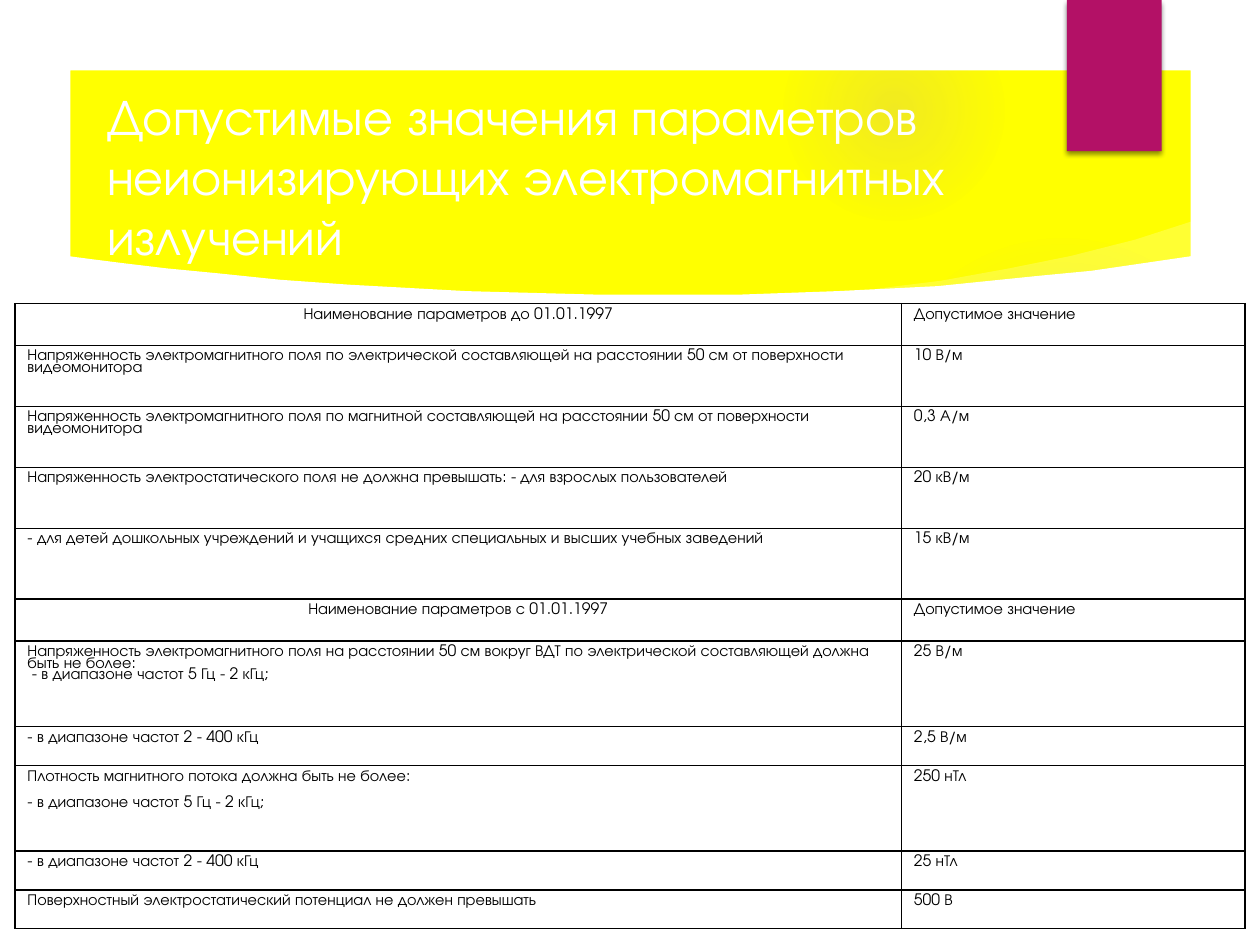
from dataclasses import dataclass

from lxml import etree
from pptx import Presentation
from pptx.dml.color import RGBColor
from pptx.enum.shapes import MSO_SHAPE
from pptx.enum.text import MSO_ANCHOR, PP_ALIGN
from pptx.oxml import parse_xml
from pptx.oxml.ns import nsdecls, qn
from pptx.util import Cm, Pt

RECTANGLE, OVAL = MSO_SHAPE.RECTANGLE, MSO_SHAPE.OVAL
MIDDLE = MSO_ANCHOR.MIDDLE
LEFT, CENTER = PP_ALIGN.LEFT, PP_ALIGN.CENTER


@dataclass(frozen=True)
class Theme:
    font: str = "TeX Gyre Adventor"
    yellow: str = "FFFF00"
    white: str = "FFFFFF"
    black: str = "000000"
    accent: str = "B31166"
    glow: str = "9B6BF2"
    title_size: float = 28.8
    table_size: float = 9
    table_spacing: float = 0.8
    border: float = 1


class SlideBuilder:
    def __init__(self, slide, theme):
        self.slide = slide
        self.theme = theme

    def background(self, color):
        fill = self.slide.background.fill
        fill.solid()
        fill.fore_color.rgb = RGBColor.from_string(color)

    def _paint(self, shape, color):
        shape.shadow.inherit = False
        shape.line.fill.background()
        shape.fill.solid()
        shape.fill.fore_color.rgb = RGBColor.from_string(color)

    def _write(self, paragraph, text, size, color, align=LEFT):
        paragraph.alignment = align
        run = paragraph.add_run()
        run.text = text
        run.font.name = self.theme.font
        run.font.size = Pt(size)
        run.font.color.rgb = RGBColor.from_string(color)

    def glow(self, left, top, size, stops):
        """Round glow; stops are (position %, opacity %) from the centre out."""
        glow = self.slide.shapes.add_shape(OVAL, Cm(left), Cm(top), Cm(size), Cm(size))
        self._paint(glow, self.theme.glow)
        marks = "".join(
            f'<a:gs pos="{position * 1000}"><a:srgbClr val="{self.theme.glow}">'
            f'<a:alpha val="{opacity * 1000}"/></a:srgbClr></a:gs>'
            for position, opacity in stops)
        gradient = parse_xml(
            f'<a:gradFill {nsdecls("a")}><a:gsLst>{marks}</a:gsLst><a:path path="circle">'
            '<a:fillToRect l="50000" t="50000" r="50000" b="50000"/></a:path></a:gradFill>')
        properties = glow._element.spPr
        properties.replace(properties.find(qn("a:solidFill")), gradient)

    def outline(self, contours, color, opacity=100):
        contours = [[(Cm(x), Cm(y)) for x, y in contour] for contour in contours]
        builder = self.slide.shapes.build_freeform(*contours[0][0], scale=1.0)
        for index, contour in enumerate(contours):
            if index:
                builder.move_to(*contour[0])
            builder.add_line_segments(contour[1:], close=True)
        shape = builder.convert_to_shape()
        self._paint(shape, color)
        if opacity < 100:
            tint = shape._element.spPr.find(qn("a:solidFill"))[0]
            etree.SubElement(tint, qn("a:alpha"), val=str(opacity * 1000))

    def ribbon(self, left, top, width, height):
        ribbon = self.slide.shapes.add_shape(
            RECTANGLE, Cm(left), Cm(top), Cm(width), Cm(height))
        self._paint(ribbon, self.theme.accent)
        effects = ribbon._element.spPr.find(qn("a:effectLst"))
        shadow = etree.SubElement(
            effects, qn("a:outerShdw"), blurRad=str(Pt(3)), dist=str(Pt(2)),
            dir="5400000", rotWithShape="0")
        tint = etree.SubElement(shadow, qn("a:srgbClr"), val=self.theme.black)
        etree.SubElement(tint, qn("a:alpha"), val="45000")

    def title(self, text, left, top, width, height):
        frame = self.slide.shapes.add_textbox(
            Cm(left), Cm(top), Cm(width), Cm(height)).text_frame
        frame.word_wrap = True
        frame.vertical_anchor = MIDDLE
        self._write(frame.paragraphs[0], text, self.theme.title_size, self.theme.white)

    def _border(self, cell):
        properties = cell._tc.get_or_add_tcPr()
        for index, side in enumerate(("lnL", "lnR", "lnT", "lnB")):
            properties.insert(index, parse_xml(
                f'<a:{side} {nsdecls("a")} w="{Pt(self.theme.border)}"><a:solidFill>'
                f'<a:srgbClr val="{self.theme.black}"/></a:solidFill></a:{side}>'))

    def table(self, rows, left, top, widths, heights, gap):
        """Rows are (parameter, limit); a list of lines becomes paragraphs."""
        table = self.slide.shapes.add_table(
            len(rows), len(widths), Cm(left), Cm(top),
            Cm(sum(widths)), Cm(sum(heights))).table
        table.first_row = table.horz_banding = False
        for column, width in zip(table.columns, widths):
            column.width = Cm(width)
        for row, height, contents in zip(table.rows, heights, rows):
            row.height = Cm(height)
            for cell, content in zip(row.cells, contents):
                cell.fill.background()
                self._border(cell)
                lines = content if isinstance(content, list) else [content]
                for index, line in enumerate(lines):
                    frame = cell.text_frame
                    paragraph = frame.add_paragraph() if index else frame.paragraphs[0]
                    paragraph.line_spacing = self.theme.table_spacing
                    if index and not line.startswith(" "):
                        paragraph.space_before = Pt(gap)
                    align = CENTER if line.startswith("Наименование") else LEFT
                    self._write(paragraph, line, self.theme.table_size,
                                self.theme.black, align)


def box(left, top, right, bottom):
    return [(left, top), (left, bottom), (right, bottom), (right, top)]


LIMIT = "Допустимое значение"
LOW_BAND = "- в диапазоне частот 5 Гц - 2 кГц;"
HIGH_BAND = "- в диапазоне частот 2 - 400 кГц"
FIELD = "Напряженность электромагнитного поля"
DISTANCE = "составляющей на расстоянии 50 см от поверхности видеомонитора"

PARAMETERS = [
    ("Наименование параметров до 01.01.1997", LIMIT),
    (f"{FIELD} по электрической {DISTANCE}", "10 В/м"),
    (f"{FIELD} по магнитной {DISTANCE}", "0,3 А/м"),
    ("Напряженность электростатического поля не должна превышать: "
     "- для взрослых пользователей", "20 кВ/м"),
    ("- для детей дошкольных учреждений и учащихся средних специальных "
     "и высших учебных заведений", "15 кВ/м"),
    ("Наименование параметров с 01.01.1997", LIMIT),
    ([f"{FIELD} на расстоянии 50 см вокруг ВДТ по электрической "
      "составляющей должна быть не более:", f" {LOW_BAND}"], "25 В/м"),
    (HIGH_BAND, "2,5 В/м"),
    (["Плотность магнитного потока должна быть не более:", LOW_BAND], "250 нТл"),
    (HIGH_BAND, "25 нТл"),
    ("Поверхностный электростатический потенциал не должен превышать", "500 В"),
]
HEADER, DOUBLE, TALL, GROUP, SINGLE = 0.84, 1.23, 1.43, 1.73, 0.78
ROW_HEIGHTS = [HEADER, DOUBLE, DOUBLE, DOUBLE, TALL, HEADER,
               GROUP, SINGLE, GROUP, SINGLE, SINGLE]

BANNER_SHEEN = [(17.75, 5.94), (24.28, 5.28), (24.16, 4.42), (22.89, 4.83),
                (21.59, 5.16), (20.35, 5.41), (18.97, 5.66), (17.68, 5.82)]
BANNER_CURVE = [(1.35, 5.16), (1.88, 5.23), (2.51, 5.31), (3.35, 5.41), (4.39, 5.51),
                (5.64, 5.64), (7.04, 5.74), (9.42, 5.87), (12.04, 5.94), (14.91, 5.94),
                (16.87, 5.87), (18.9, 5.77), (20.96, 5.56), (22, 5.46), (24.05, 5.16)]


def main():
    theme = Theme()
    deck = Presentation()
    deck.slide_width, deck.slide_height = Cm(25.4), Cm(19.05)
    page = SlideBuilder(deck.slides.add_slide(deck.slide_layouts[6]), theme)

    # Yellow banner with soft glows and a light sheen
    page.background(theme.yellow)
    page.glow(17.5, 4.65, 7.82, [(0, 7), (36, 6), (69, 0)])
    page.glow(15.8, 0, 4.45, [(0, 14), (36, 7), (73, 0)])
    page.outline([BANNER_SHEEN], theme.white, opacity=20)

    # White page below the curve and white frame around it
    page.outline([BANNER_CURVE + [(24.05, 17.75), (1.35, 17.75)]], theme.white)
    page.outline([box(0, 0, 25.4, 19.05), box(1.42, 1.42, 24, 17.65)], theme.white)

    # Ribbon and heading
    page.ribbon(21.51, 0, 1.91, 3.05)
    page.title("Допустимые значения параметров неионизирующих "
               "электромагнитных излучений", 1.91, 1.73, 20.96, 3.61)

    # Limits table
    page.table(PARAMETERS, 0.3, 6.12, [17.87, 6.93], ROW_HEIGHTS, gap=8.5)

    deck.save("out.pptx")


if __name__ == "__main__":
    main()
